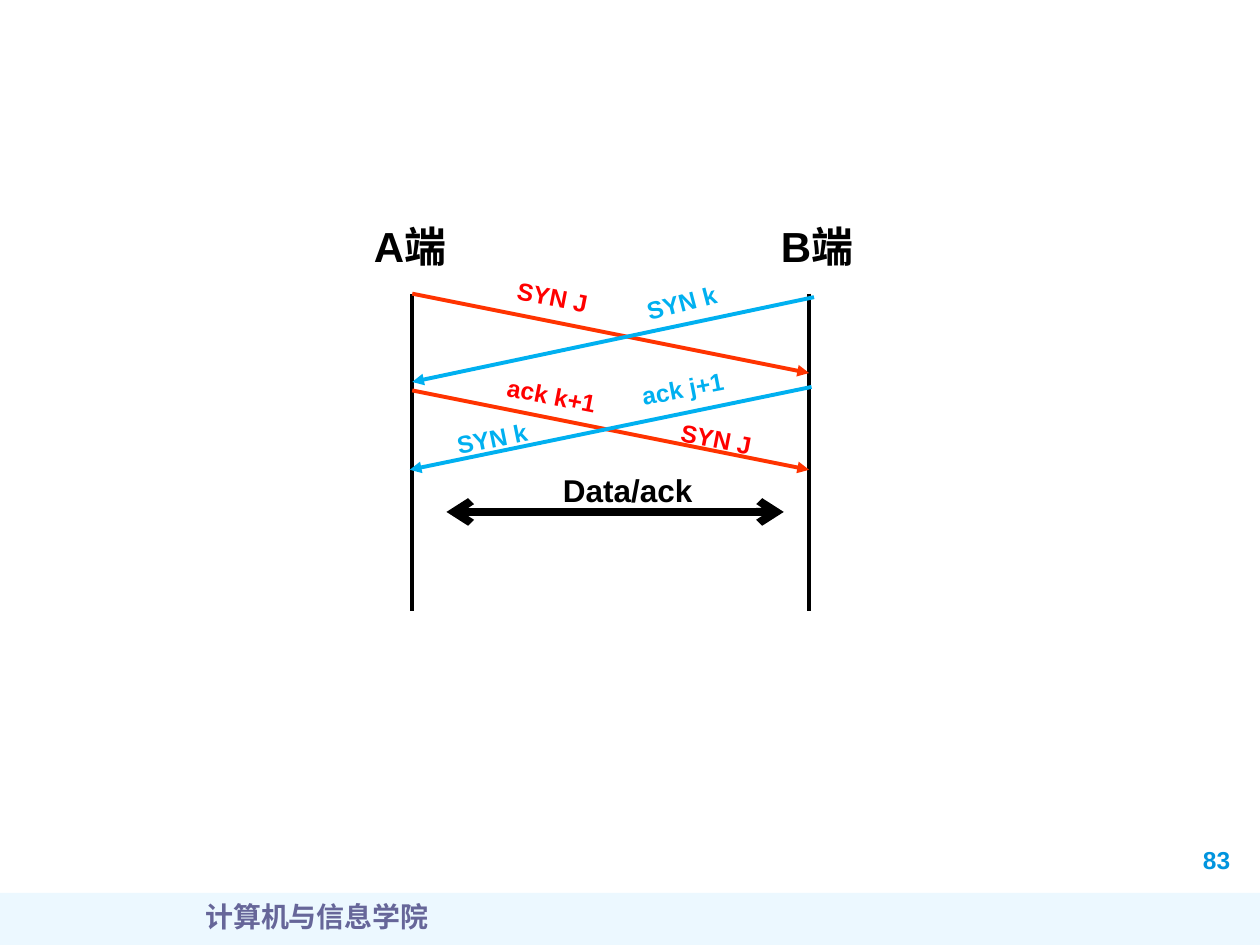
from lxml import etree
from pptx import Presentation
from pptx import util as u
from pptx.dml.color import RGBColor
from pptx.enum import shapes, text
from pptx.oxml.ns import qn

BLACK = RGBColor(0x00, 0x00, 0x00)
RED = RGBColor(0xFF, 0x00, 0x00)
ORANGE = RGBColor(0xFF, 0x33, 0x00)
SKY = RGBColor(0x00, 0xB0, 0xF0)
NUMBER_BLUE = RGBColor(0x00, 0x94, 0xDE)
PALE_BLUE = RGBColor(0xA7, 0xE2, 0xFF)
PURPLE = RGBColor(0x66, 0x66, 0x99)

# Content; all lengths in cm
A_X, B_X = 8.31, 16.31
LIFE_TOP, LIFE_BOTTOM = 5.92, 12.32
LABEL_WIDTH, LABEL_HEIGHT = 3.4, 0.86

# Each end: name, lifeline x, name left
ENDS = [("A端", A_X, 7.29), ("B端", B_X, 15.49)]

# Each message: start, end, line colour, label colour, labels (text, left, top, rotation)
MESSAGES = [
    ((A_X, 5.92), (B_X, 7.52), ORANGE, RED, [("SYN J", 10.16, 5.69, 11)]),
    ((16.41, 5.99), (A_X, 7.7), SKY, SKY, [("SYN k", 12.75, 5.49, 345.3)]),
    ((A_X, 7.87), (B_X, 9.47), ORANGE, RED,
     [("ack k+1", 9.96, 7.65, 11), ("SYN J", 13.46, 8.56, 11)]),
    ((16.36, 7.8), (8.26, 9.47), SKY, SKY,
     [("ack j+1", 12.67, 7.29, 349), ("SYN k", 8.94, 8.26, 348.5)]),
]


def add_label(slide, words, left, top, width, height, size, color,
              rotation=0, font="Arial", align=text.PP_ALIGN.LEFT):
    box = slide.shapes.add_textbox(u.Cm(left), u.Cm(top), u.Cm(width), u.Cm(height))
    box.rotation = rotation
    box.text_frame.word_wrap = True
    paragraph = box.text_frame.paragraphs[0]
    paragraph.alignment = align
    run = paragraph.add_run()
    run.text = words
    run.font.name = font
    run.font.size = u.Pt(size)
    run.font.bold = True
    run.font.color.rgb = color


def add_line(slide, start, end, color, width=2.25, head=None, tail=None):
    line = slide.shapes.add_connector(
        shapes.MSO_CONNECTOR.STRAIGHT, *(u.Cm(value) for value in start + end))
    line.line.color.rgb = color
    line.line.width = u.Pt(width)
    properties = line._element.spPr
    outline = properties.find(qn("a:ln"))
    for tag, kind in (("a:headEnd", head), ("a:tailEnd", tail)):
        if kind:
            etree.SubElement(outline, qn(tag), type=kind)
    etree.SubElement(properties, qn("a:effectLst"))


def add_footer(slide):
    bar = slide.shapes.add_shape(
        shapes.MSO_SHAPE.RECTANGLE, u.Cm(0), u.Cm(18), u.Cm(25.4), u.Cm(1.05))
    bar.shadow.inherit = False
    bar.line.fill.background()
    bar.fill.solid()
    bar.fill.fore_color.rgb = PALE_BLUE
    color = bar._element.spPr.find(qn("a:solidFill"))[0]
    etree.SubElement(color, qn("a:alpha"), val="21000")
    add_label(slide, "83", 24, 16.92, 1.4, 0.84, 14, NUMBER_BLUE)
    add_label(slide, "计算机与信息学院", 0.69, 18, 11.4, 1.05, 16, PURPLE,
              font="Times New Roman", align=text.PP_ALIGN.CENTER)


def main():
    presentation = Presentation()
    presentation.slide_width = u.Cm(25.4)
    presentation.slide_height = u.Cm(19.05)
    slide = presentation.slides.add_slide(presentation.slide_layouts[6])

    add_footer(slide)

    # Lifelines and their names
    for name, x, name_left in ENDS:
        add_line(slide, (x, LIFE_TOP), (x, LIFE_BOTTOM), BLACK)
        add_label(slide, name, name_left, 4.32, 2, 1.27, 24, BLACK)

    # Crossing messages
    for start, end, line_color, label_color, labels in MESSAGES:
        add_line(slide, start, end, line_color, tail="triangle")
        for words, left, top, rotation in labels:
            add_label(slide, words, left, top, LABEL_WIDTH, LABEL_HEIGHT, 14,
                      label_color, rotation)

    # Data exchange in both directions
    add_line(slide, (9, 10.32), (15.8, 10.32), BLACK, 4.5, "arrow", "arrow")
    add_label(slide, "Data/ack", 11.1, 9.37, 4.6, 1.02, 18, BLACK)

    presentation.save("out.pptx")


if __name__ == "__main__":
    main()
